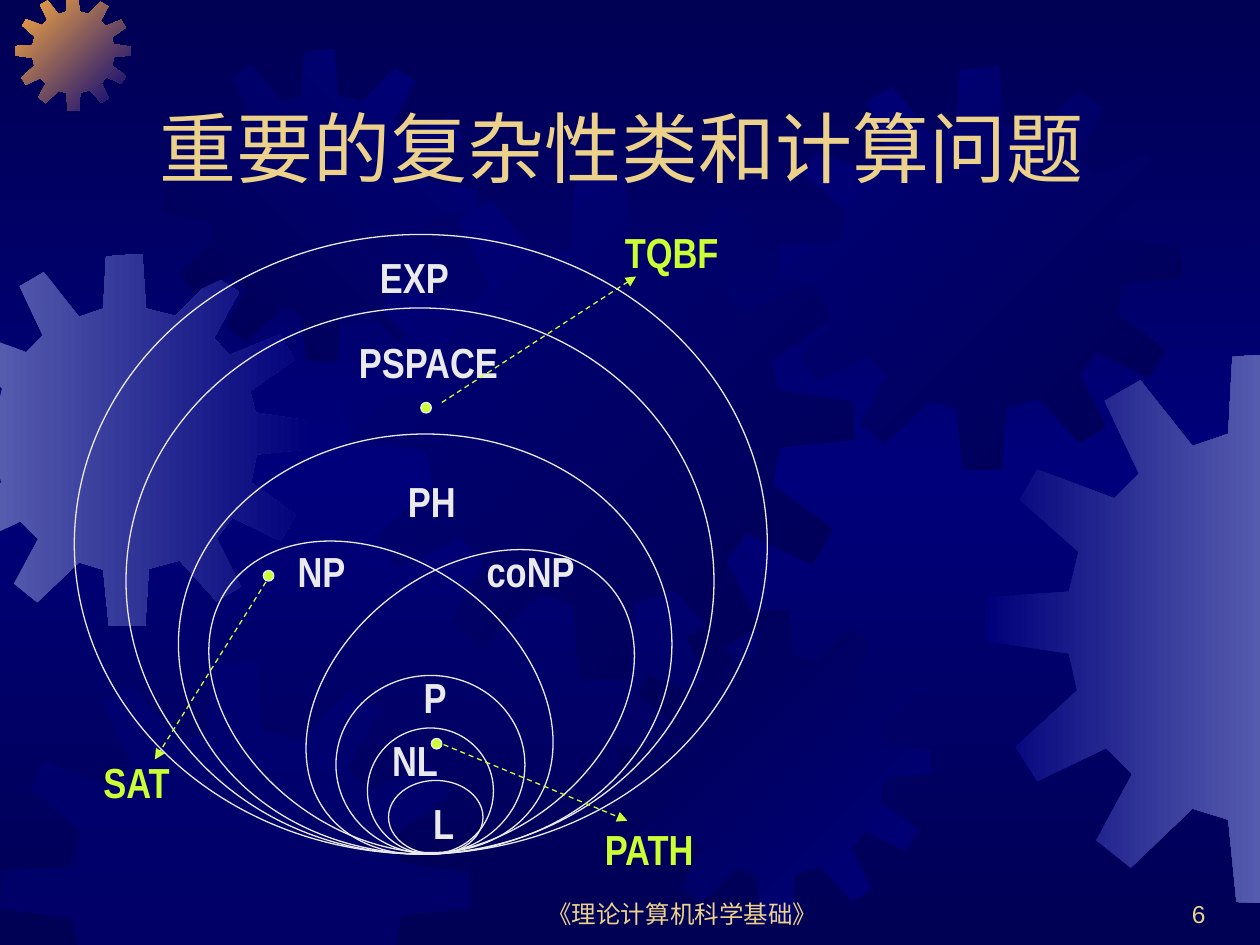
from copy import deepcopy

from lxml import etree
from pptx import Presentation
from pptx import util as u
from pptx.dml.color import RGBColor
from pptx.enum import dml, shapes, text
from pptx.oxml.ns import qn

COLORS = {"night": "000054", "navy": "00007A", "steel": "555BAD", "orange": "FCAB40",
          "sand": "EBD189", "chalk": "EAEAEA", "lime": "CCFF33"}
WIDTH, HEIGHT = 720, 540
BASELINE = 488  # every upright class ellipse touches this height

# Outline of a gear with twelve teeth, in a square of GEAR_UNITS
GEAR_UNITS = 401
GEAR = [
    (255, 67), (223, 59), (219, 0), (180, 3), (177, 59), (151, 68), (113, 20), (87, 35),
    (112, 88), (94, 106), (38, 85), (25, 107), (68, 145), (61, 174), (1, 178), (0, 210),
    (61, 219), (67, 246), (22, 287), (38, 312), (88, 288), (107, 307), (81, 355), (106, 375),
    (151, 332), (177, 340), (183, 400), (222, 401), (226, 339), (259, 330), (299, 374),
    (325, 358), (299, 306), (316, 284), (368, 309), (384, 281), (336, 246), (342, 216),
    (401, 210), (400, 180), (341, 171), (335, 148), (383, 114), (367, 87), (313, 109),
    (296, 91), (323, 41), (297, 25)]

# left, top, size, first colour, last colour, clockwise angle
GEARS = [
    (-35, 145, 213, "steel", "navy", 0),
    (8.6, -3, 66.2, "orange", "navy", 45),
    (93.6, 28, 178.6, "night", "navy", 315),
    (199.4, 100, 288.7, "navy", "night", 45),
    (0, 378, 269.3, "navy", None, 0),
    (353.5, 348.5, 178.6, "night", "navy", 45),
    (445, 38.2, 230.4, "navy", "night", 45),
    (563, 201.6, 314.6, "navy", "steel", 0)]

# left, width, height
NESTED = [(42.5, 396, 354), (72, 336, 312), (102, 282, 240),
          (192, 108, 102), (210, 72, 72), (222, 54, 42)]

# left, top, width, height, rotation
TILTED = [(139.7, 290.9, 156, 214.6, 305.6), (193.7, 297.4, 150, 207.4, 51.9)]

# name, left, top, width
CLASSES = [("EXP", 210, 140, 54), ("PSPACE", 198, 189, 118), ("PH", 226, 268, 56),
           ("NP", 163, 308, 54), ("coNP", 271, 308, 78), ("P", 235, 380, 42),
           ("NL", 217, 416, 54), ("L", 240.5, 452, 36)]

# name, label left, top, width, dot left, top, arrow start, arrow end
PROBLEMS = [
    ("TQBF", 350, 126, 72, 240.5, 230, (252.5, 230), (363.5, 158)),
    ("SAT", 52, 429, 60, 150.5, 326, (152, 332.5), (88.5, 434)),
    ("PATH", 338.5, 467, 78, 246.5, 422, (253.5, 425.5), (358.5, 469))]


def color(name):
    return RGBColor.from_string(COLORS[name])


def clip_to_page(points):
    """Cut a closed outline at the four page edges."""
    for axis, limit, sign in ((0, 0, -1), (0, WIDTH, 1), (1, 0, -1), (1, HEIGHT, 1)):
        kept = []
        for a, b in zip(points, points[1:] + points[:1]):
            depth_a, depth_b = (sign * (limit - point[axis]) for point in (a, b))
            if depth_a >= 0:
                kept.append(a)
            if depth_a * depth_b < 0:
                share = depth_a / (depth_a - depth_b)
                kept.append(tuple(p + share * (q - p) for p, q in zip(a, b)))
        points = kept
    return points


class Slide:
    font = "Arial"
    label_font = "Arial Narrow"
    line_width = 0.75

    def __init__(self, deck):
        self.page = deck.slides.add_slide(deck.slide_layouts[5])

    def background(self, edge, middle):
        fill = self.page.background.fill
        fill.gradient()
        fill.gradient_angle = 270
        stops = self.page.element.xpath(".//p:bg//a:gsLst")[0]
        stops.append(deepcopy(stops[-1]))
        for stop, name, place in zip(fill.gradient_stops, (edge, middle, edge), (0, 0.5, 1)):
            stop.color.rgb = color(name)
            stop.position = place

    def gear(self, left, top, size, first, last, angle):
        """Draw a gear with a gradient, or half transparent if it has no last colour."""
        scale = size / GEAR_UNITS
        outline = clip_to_page([(left + x * scale, top + y * scale) for x, y in GEAR])
        start, *rest = [(u.Pt(x), u.Pt(y)) for x, y in outline]
        builder = self.page.shapes.build_freeform(*start)
        builder.add_line_segments(rest, close=True)
        shape = builder.convert_to_shape()
        shape.shadow.inherit = False
        shape.line.fill.background()
        if last:
            shape.fill.gradient()
            shape.fill.gradient_angle = (360 - angle) % 360
            for stop, name, place in zip(shape.fill.gradient_stops, (first, last), (0, 1)):
                stop.color.rgb = color(name)
                stop.position = place
        else:
            shape.fill.solid()
            shape.fill.fore_color.rgb = color(first)
            tone = shape.element.spPr.find(qn("a:solidFill"))[0]
            etree.SubElement(tone, qn("a:alpha"), val="50000")

    def set_text(self, box, words, size, ink, font, bold=False,
                 align=text.PP_ALIGN.LEFT, anchor=text.MSO_ANCHOR.TOP):
        frame = box.text_frame
        frame.word_wrap = True
        frame.auto_size = text.MSO_AUTO_SIZE.NONE
        frame.vertical_anchor = anchor
        para = frame.paragraphs[0]
        para.alignment = align
        span = para.add_run()
        span.text = words
        span.font.name = font
        span.font.size = u.Pt(size)
        span.font.bold = bold
        span.font.color.rgb = color(ink)

    def title(self, words, left, top, width, height):
        box = self.page.shapes.title
        box.left, box.top, box.width, box.height = map(u.Pt, (left, top, width, height))
        self.set_text(box, words, 44, "sand", self.font, anchor=text.MSO_ANCHOR.BOTTOM)
        box.element.getparent().append(box.element)  # in front of the gears

    def footer(self, words, left, width, align):
        box = self.page.shapes.add_textbox(*map(u.Pt, (left, 498, width, 36)))
        self.set_text(box, words, 14, "sand", self.font, align=align,
                      anchor=text.MSO_ANCHOR.BOTTOM)

    def label(self, words, left, top, width, ink):
        box = self.page.shapes.add_textbox(*map(u.Pt, (left, top, width, 36)))
        self.set_text(box, words, 24, ink, self.label_font, bold=True)

    def ellipse(self, left, top, width, height, rotation=0, fill=None):
        shape = self.page.shapes.add_shape(
            shapes.MSO_SHAPE.OVAL, *map(u.Pt, (left, top, width, height)))
        shape.rotation = rotation
        shape.shadow.inherit = False
        shape.line.color.rgb = color("chalk")
        shape.line.width = u.Pt(self.line_width)
        if fill:
            shape.fill.solid()
            shape.fill.fore_color.rgb = color(fill)
        else:
            shape.fill.background()

    def arrow(self, start, end, ink):
        line = self.page.shapes.add_connector(
            shapes.MSO_CONNECTOR.STRAIGHT, *map(u.Pt, start + end))
        line.line.color.rgb = color(ink)
        line.line.width = u.Pt(self.line_width)
        line.line.dash_style = dml.MSO_LINE.DASH
        properties = line.element.spPr
        etree.SubElement(properties.find(qn("a:ln")), qn("a:tailEnd"), type="triangle")
        etree.SubElement(properties, qn("a:effectLst"))


def main():
    deck = Presentation()
    deck.slide_width, deck.slide_height = u.Pt(WIDTH), u.Pt(HEIGHT)
    slide = Slide(deck)
    slide.background("night", "navy")
    for gear in GEARS:
        slide.gear(*gear)
    slide.footer("《理论计算机科学基础》", 276, 228, text.PP_ALIGN.CENTER)
    slide.footer("6", 546, 150, text.PP_ALIGN.RIGHT)
    slide.title("重要的复杂性类和计算问题", 84, 24, 612, 90)
    for tilted in TILTED:
        slide.ellipse(*tilted)
    for left, width, height in NESTED:
        slide.ellipse(left, BASELINE - height, width, height)
    for name, left, top, width in CLASSES:
        slide.label(name, left, top, width, "chalk")
    for name, left, top, width, dot_left, dot_top, start, end in PROBLEMS:
        slide.ellipse(dot_left, dot_top, 6, 6, fill="lime")
        slide.arrow(start, end, "lime")
        slide.label(name, left, top, width, "lime")
    deck.save("out.pptx")


if __name__ == "__main__":
    main()
